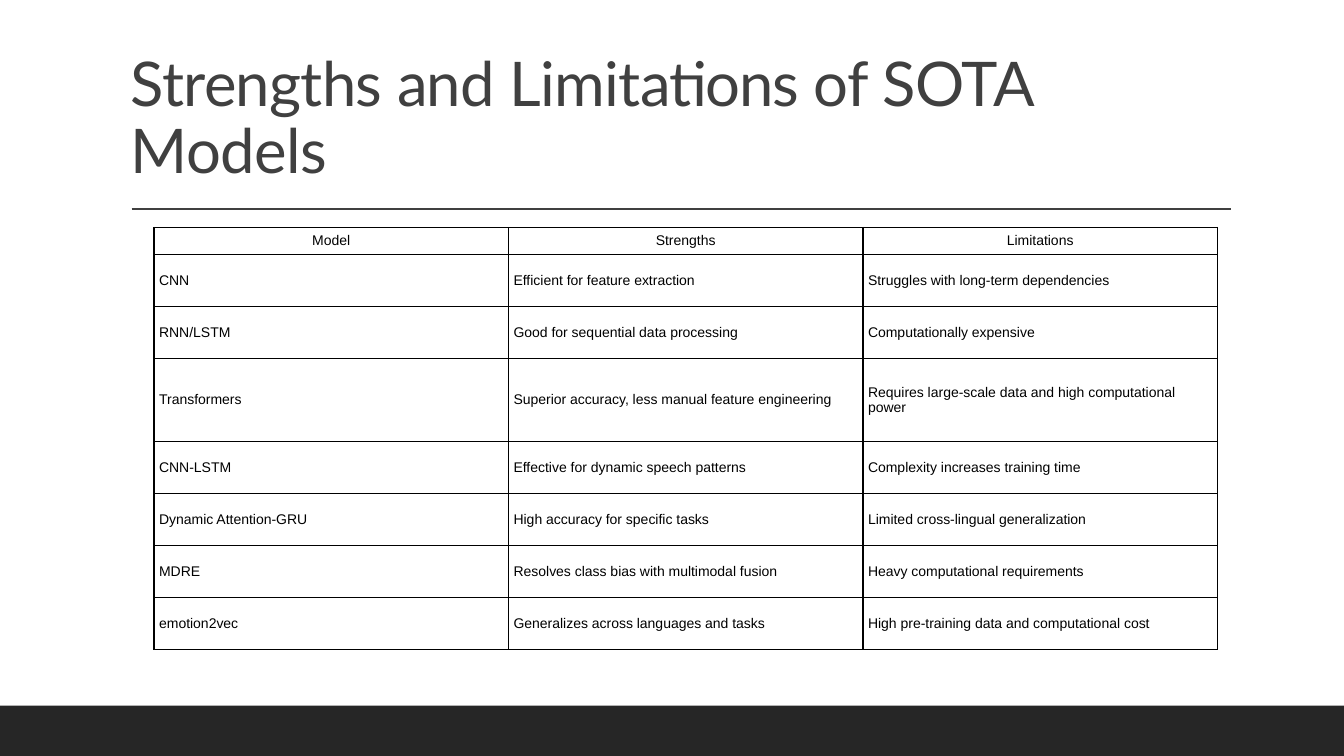
from lxml import etree
from pptx import Presentation
from pptx import util as u
from pptx.dml import color
from pptx.enum import shapes, text
from pptx.oxml import ns

GREY, BAND, BLACK = "404040", "262626", "000000"
ROWS = [
    ("Model", "Strengths", "Limitations"),
    ("CNN", "Efficient for feature extraction", "Struggles with long-term dependencies"),
    ("RNN/LSTM", "Good for sequential data processing", "Computationally expensive"),
    ("Transformers", "Superior accuracy, less manual feature engineering",
     "Requires large-scale data and high computational power"),
    ("CNN-LSTM", "Effective for dynamic speech patterns", "Complexity increases training time"),
    ("Dynamic Attention-GRU", "High accuracy for specific tasks", "Limited cross-lingual generalization"),
    ("MDRE", "Resolves class bias with multimodal fusion", "Heavy computational requirements"),
    ("emotion2vec", "Generalizes across languages and tasks",
     "High pre-training data and computational cost"),
]
HEADER_HEIGHT, ROW_HEIGHT, TALL_HEIGHT = 0.53, 1.31, 2.09
TALL_ROW = 3


def rgb(value):
    """Return the colour for a hex string."""
    return color.RGBColor.from_string(value)


def style_run(run, font_name, size, colour):
    """Set the font, size and colour of a run."""
    run.font.name = font_name
    run.font.size = u.Pt(size)
    run.font.color.rgb = rgb(colour)


def add_title(slide, left, top, width, height):
    """Place the bottom-anchored title in its box and the rule below it."""
    title = slide.shapes.add_textbox(u.Cm(left), u.Cm(top), u.Cm(width), u.Cm(height))
    frame = title.text_frame
    frame.word_wrap = True
    frame.vertical_anchor = text.MSO_ANCHOR.BOTTOM
    frame.text = "Strengths and Limitations of SOTA Models"
    paragraph = frame.paragraphs[0]
    paragraph.line_spacing = 0.9
    run = paragraph.runs[0]
    style_run(run, "Lato", 44, GREY)
    run.font._element.set("spc", "-50")

    rule_y = u.Cm(top + height + 0.44)
    rule = slide.shapes.add_connector(
        shapes.MSO_CONNECTOR.STRAIGHT, u.Cm(left + 0.27), rule_y, u.Cm(left + width + 0.02), rule_y)
    rule.line.color.rgb = rgb(GREY)
    rule.line.width = u.Pt(1)
    etree.SubElement(rule._element.spPr, ns.qn("a:effectLst"))


def add_footer_band(slide, left, top, width, height):
    """Fill the box with the dark footer band."""
    band = slide.shapes.add_shape(
        shapes.MSO_SHAPE.RECTANGLE, u.Cm(left), u.Cm(top), u.Cm(width), u.Cm(height))
    band.shadow.inherit = False
    band.fill.solid()
    band.fill.fore_color.rgb = rgb(BAND)
    band.line.fill.background()


def add_borders(cell, colour, points):
    """Draw a solid line on all four sides of a cell."""
    properties = cell._tc.get_or_add_tcPr()
    for side in ("lnL", "lnR", "lnT", "lnB"):
        line = etree.SubElement(properties, ns.qn(f"a:{side}"), w=str(u.Pt(points)))
        fill = etree.SubElement(line, ns.qn("a:solidFill"))
        etree.SubElement(fill, ns.qn("a:srgbClr"), val=colour)


def format_cell(cell, content, alignment):
    """Write one bordered, unfilled table cell."""
    cell.text = content
    cell.vertical_anchor = text.MSO_ANCHOR.MIDDLE
    cell.margin_left = cell.margin_right = u.Cm(0.13)
    cell.margin_top = cell.margin_bottom = u.Cm(0.13)
    paragraph = cell.text_frame.paragraphs[0]
    paragraph.alignment = alignment
    style_run(paragraph.runs[0], "Arial", 10, BLACK)
    add_borders(cell, BLACK, 1)
    cell.fill.background()


def add_model_table(slide, left, top, width):
    """Place the model comparison with equal columns across the given width."""
    heights = [HEADER_HEIGHT] + [ROW_HEIGHT] * (len(ROWS) - 1)
    heights[TALL_ROW] = TALL_HEIGHT
    table = slide.shapes.add_table(
        len(ROWS), len(ROWS[0]), u.Cm(left), u.Cm(top), u.Cm(width), u.Cm(sum(heights))).table
    table.horz_banding = False
    table.first_row = False
    for row_index, (contents, height) in enumerate(zip(ROWS, heights)):
        table.rows[row_index].height = u.Cm(height)
        alignment = text.PP_ALIGN.LEFT if row_index else text.PP_ALIGN.CENTER
        for column_index, content in enumerate(contents):
            format_cell(table.cell(row_index, column_index), content, alignment)


def main():
    """Build the slide and save it."""
    presentation = Presentation()
    presentation.slide_width = u.Cm(33.87)
    presentation.slide_height = u.Cm(19.05)
    slide = presentation.slides.add_slide(presentation.slide_layouts[6])
    add_footer_band(slide, 0, 17.78, 33.87, 1.27)
    add_title(slide, 3.05, 0.79, 27.94, 4.04)
    add_model_table(slide, 3.88, 5.73, 26.8)
    presentation.save("out.pptx")


if __name__ == "__main__":
    main()
